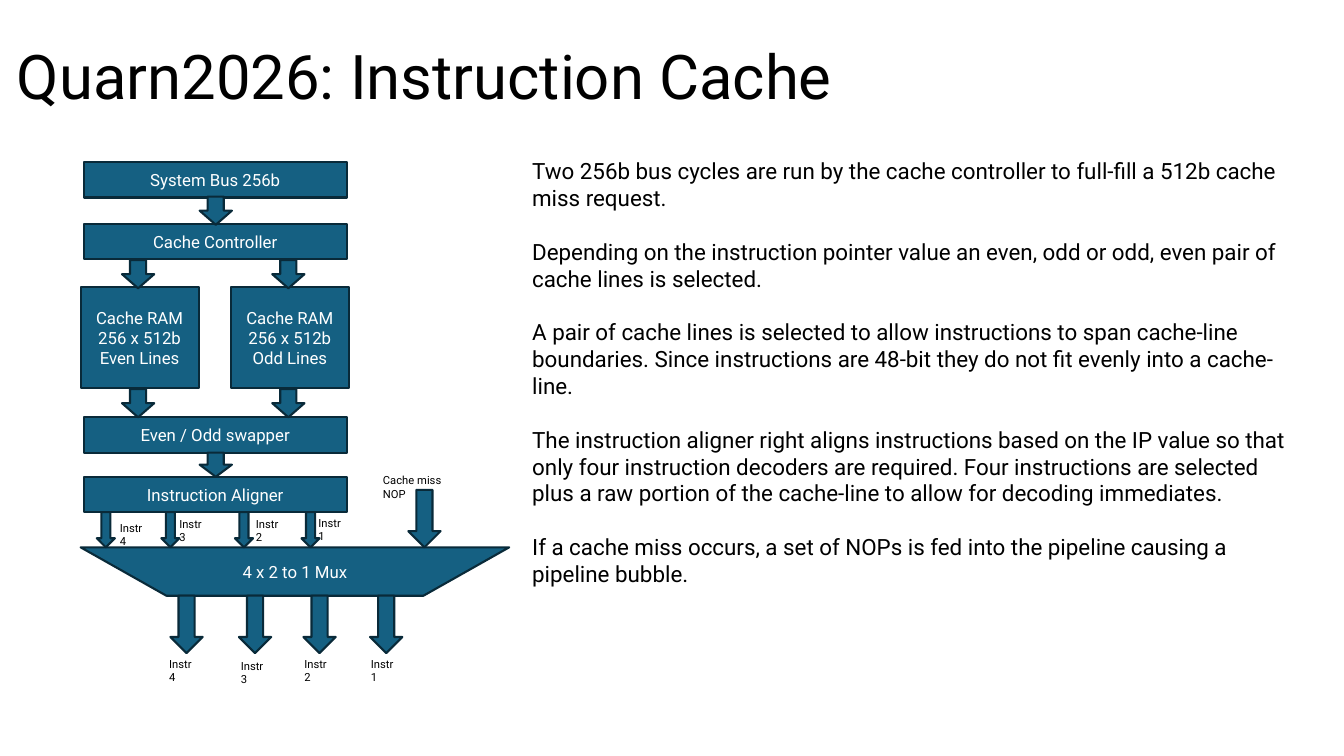
from pptx import Presentation
from pptx.dml.color import RGBColor
from pptx.enum import shapes, text
from pptx.util import Inches, Pt

TEAL = RGBColor(0x15, 0x60, 0x82)
DARK_TEAL = RGBColor(0x09, 0x2A, 0x39)
WHITE = RGBColor(0xFF, 0xFF, 0xFF)
BLACK = RGBColor(0, 0, 0)
SHAPE = shapes.MSO_SHAPE

presentation = Presentation()
presentation.slide_width = Inches(13.33)
presentation.slide_height = Inches(7.5)
slide = presentation.slides.add_slide(presentation.slide_layouts[6])


def write(shape, lines, size, color, align, anchor, gap=0, spacing=1.0):
    frame = shape.text_frame
    frame.word_wrap = True
    frame.vertical_anchor = anchor
    for index, line in enumerate(lines):
        paragraph = frame.paragraphs[0] if index == 0 else frame.add_paragraph()
        paragraph.alignment = align
        paragraph.line_spacing = spacing
        paragraph.space_before = Pt(gap if index else 0)
        run = paragraph.add_run()
        run.text = line
        run.font.name = "Roboto"
        run.font.size = Pt(size)
        run.font.color.rgb = color


def add_block(kind, left, top, width, height, lines=()):
    shape = slide.shapes.add_shape(kind, Inches(left), Inches(top), Inches(width), Inches(height))
    shape.shadow.inherit = False
    shape.fill.solid()
    shape.fill.fore_color.rgb = TEAL
    shape.line.color.rgb = DARK_TEAL
    shape.line.width = Pt(1.5)
    write(shape, lines, 12, WHITE, text.PP_ALIGN.CENTER, text.MSO_ANCHOR.MIDDLE)


title = slide.shapes.add_textbox(Inches(0.07), Inches(0.06), Inches(11.5), Inches(1.45))
write(title, ["Quarn2026: Instruction Cache"], 44, BLACK,
      text.PP_ALIGN.LEFT, text.MSO_ANCHOR.MIDDLE, spacing=0.9)

for top, name in [(1.61, "System Bus 256b"), (2.22, "Cache Controller"),
                  (4.14, "Even / Odd swapper"), (4.73, "Instruction Aligner")]:
    add_block(SHAPE.RECTANGLE, 0.83, top, 2.61, 0.35, [name])

for left, parity in [(0.8, "Even"), (2.29, "Odd")]:
    add_block(SHAPE.RECTANGLE, left, 2.85, 1.17, 1, ["Cache RAM", "256 x 512b", f"{parity} Lines"])

add_block(SHAPE.FLOWCHART_MANUAL_OPERATION, 0.8, 5.43, 4.25, 0.48, ["4 x 2 to 1 Mux"])

mux_outputs = [(left, 5.91, 0.32, 0.57) for left in (1.69, 2.37, 3.01, 3.67)]
mux_inputs = [(left, 5.08, 0.18, 0.35) for left in (0.96, 1.6, 2.33, 2.99)]
cache_miss_input = [(4.05, 4.86, 0.32, 0.57)]
ram_links = [(left, top, 0.32, 0.28) for top in (2.58, 3.86) for left in (1.21, 2.7)]
stage_links = [(1.98, 1.95, 0.32, 0.28), (1.98, 4.49, 0.32, 0.24)]
for arrow in mux_outputs + mux_inputs + cache_miss_input + ram_links + stage_links:
    add_block(SHAPE.DOWN_ARROW, *arrow)

input_labels = [(1.09, 5.12), (1.68, 5.08), (2.44, 5.08), (3.06, 5.07)]
output_labels = [(1.58, 6.47), (2.29, 6.49), (2.92, 6.47), (3.58, 6.47)]
labels = [(left, top, 0.5, f"Instr {4 - index}")
          for row in (input_labels, output_labels)
          for index, (left, top) in enumerate(row)]
labels.append((3.7, 4.65, 1.0, "Cache miss NOP"))
for left, top, width, name in labels:
    label = slide.shapes.add_textbox(Inches(left), Inches(top), Inches(width), Inches(0.24))
    write(label, [name], 8, BLACK, text.PP_ALIGN.LEFT, text.MSO_ANCHOR.TOP)

notes = [
    "Two 256b bus cycles are run by the cache controller to full-fill a 512b cache miss request.",
    "Depending on the instruction pointer value an even, odd or odd, even pair of cache lines is selected.",
    "A pair of cache lines is selected to allow instructions to span cache-line boundaries. "
    "Since instructions are 48-bit they do not fit evenly into a cache-line.",
    "The instruction aligner right aligns instructions based on the IP value so that only four "
    "instruction decoders are required. Four instructions are selected plus a raw portion of the "
    "cache-line to allow for decoding immediates.",
    "If a cache miss occurs, a set of NOPs is fed into the pipeline causing a pipeline bubble.",
]
description = slide.shapes.add_textbox(Inches(5.18), Inches(1.51), Inches(7.71), Inches(4.68))
write(description, notes, 16, BLACK, text.PP_ALIGN.LEFT, text.MSO_ANCHOR.TOP, gap=19.2)

presentation.save("out.pptx")
